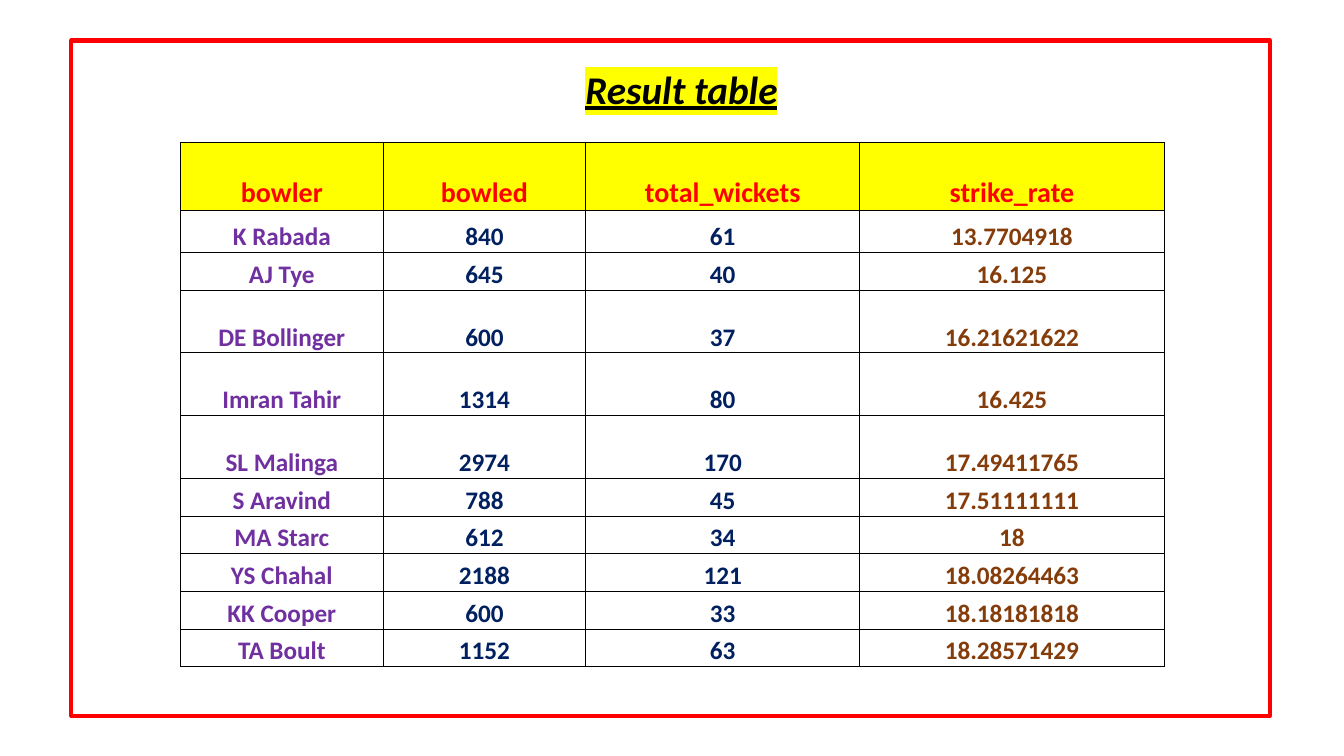
from lxml.etree import SubElement
from pptx import Presentation
from pptx.dml.color import RGBColor
from pptx.enum.shapes import MSO_SHAPE as Shape
from pptx.enum.text import MSO_ANCHOR as Anchor, PP_ALIGN as Align
from pptx.oxml import parse_xml
from pptx.oxml.ns import nsdecls, qn
from pptx.util import Cm, Pt

BLACK = RGBColor(0x00, 0x00, 0x00)
RED = RGBColor(0xFF, 0x00, 0x00)
YELLOW = RGBColor(0xFF, 0xFF, 0x00)
PURPLE = RGBColor(0x70, 0x30, 0xA0)
NAVY = RGBColor(0x00, 0x20, 0x60)
BROWN = RGBColor(0x84, 0x3C, 0x0B)

FONT = "Calibri"
HEADINGS = ("bowler", "bowled", "total_wickets", "strike_rate")
BOWLERS = (
    ("K Rabada", "840", "61", "13.7704918"),
    ("AJ Tye", "645", "40", "16.125"),
    ("DE Bollinger", "600", "37", "16.21621622"),
    ("Imran Tahir", "1314", "80", "16.425"),
    ("SL Malinga", "2974", "170", "17.49411765"),
    ("S Aravind", "788", "45", "17.51111111"),
    ("MA Starc", "612", "34", "18"),
    ("YS Chahal", "2188", "121", "18.08264463"),
    ("KK Cooper", "600", "33", "18.18181818"),
    ("TA Boult", "1152", "63", "18.28571429"),
)
COLUMN_COLORS = (PURPLE, NAVY, NAVY, BROWN)
COLUMN_SHARES = (2.01, 2.01, 2.72, 3.02)
# Heading, first bowler, then single and tall rows
ROW_SHARES = (1.72, 1.06, 0.95) + (1.58,) * 3 + (0.95,) * 5


def style_run(run, size, color):
    run.font.name = FONT
    run.font.size = Pt(size)
    run.font.bold = True
    run.font.color.rgb = color


def place_title(slide, left, top, width, height):
    title = slide.shapes.title
    title.left, title.top, title.width, title.height = left, top, width, height
    title.text_frame.text = "Result table"
    title.text_frame.vertical_anchor = Anchor.MIDDLE
    heading = title.text_frame.paragraphs[0]
    heading.alignment = Align.CENTER
    heading.line_spacing = 0.9
    run = heading.runs[0]
    style_run(run, 28, BLACK)
    run.font.italic = True
    run.font.underline = True
    # Highlight follows the text fill
    run.font.fill.solid()
    run.font.color.rgb = BLACK
    highlight = parse_xml(
        f'<a:highlight {nsdecls("a")}><a:srgbClr val="{YELLOW}"/></a:highlight>')
    run.font._element.find(qn("a:solidFill")).addnext(highlight)


def draw_borders(cell):
    properties = cell._tc.get_or_add_tcPr()
    for side in ("a:lnL", "a:lnR", "a:lnT", "a:lnB"):
        border = SubElement(properties, qn(side), w=str(Pt(0.5)))
        fill = SubElement(border, qn("a:solidFill"))
        SubElement(fill, qn("a:srgbClr"), val=str(BLACK))


def fill_cell(cell, text, size, color, background=None):
    cell.margin_left = cell.margin_right = cell.margin_top = Cm(0.02)
    cell.margin_bottom = 0
    cell.vertical_anchor = Anchor.BOTTOM
    draw_borders(cell)
    if background is None:
        cell.fill.background()
    else:
        cell.fill.solid()
        cell.fill.fore_color.rgb = background
    cell.text_frame.text = text
    entry = cell.text_frame.paragraphs[0]
    entry.alignment = Align.CENTER
    style_run(entry.runs[0], size, color)


def place_results(slide, left, top, width, height):
    results = slide.shapes.add_table(
        len(BOWLERS) + 1, len(HEADINGS), left, top, width, height).table
    for column, share in zip(results.columns, COLUMN_SHARES):
        column.width = int(width * share / sum(COLUMN_SHARES))
    for row, share in zip(results.rows, ROW_SHARES):
        row.height = int(height * share / sum(ROW_SHARES))
    for col, heading in enumerate(HEADINGS):
        fill_cell(results.cell(0, col), heading, 20, RED, YELLOW)
    for row, bowler in enumerate(BOWLERS, start=1):
        for col, (value, color) in enumerate(zip(bowler, COLUMN_COLORS)):
            fill_cell(results.cell(row, col), value, 18, color)


def place_frame(slide, left, top, width, height):
    frame = slide.shapes.add_shape(Shape.RECTANGLE, left, top, width, height)
    frame.shadow.inherit = False
    frame.fill.background()
    frame.line.color.rgb = RED
    frame.line.width = Pt(3)


def main():
    deck = Presentation()
    deck.slide_width, deck.slide_height = Cm(33.87), Cm(19.05)
    slide = deck.slides.add_slide(deck.slide_layouts.get_by_name("Title Only"))
    place_title(slide, Cm(2.57), Cm(1.02), Cm(29.21), Cm(2.57))
    place_results(slide, Cm(4.55), Cm(3.58), Cm(24.79), Cm(13.22))
    place_frame(slide, Cm(1.8), Cm(1.02), Cm(30.2), Cm(17.02))
    deck.save("out.pptx")


if __name__ == "__main__":
    main()
